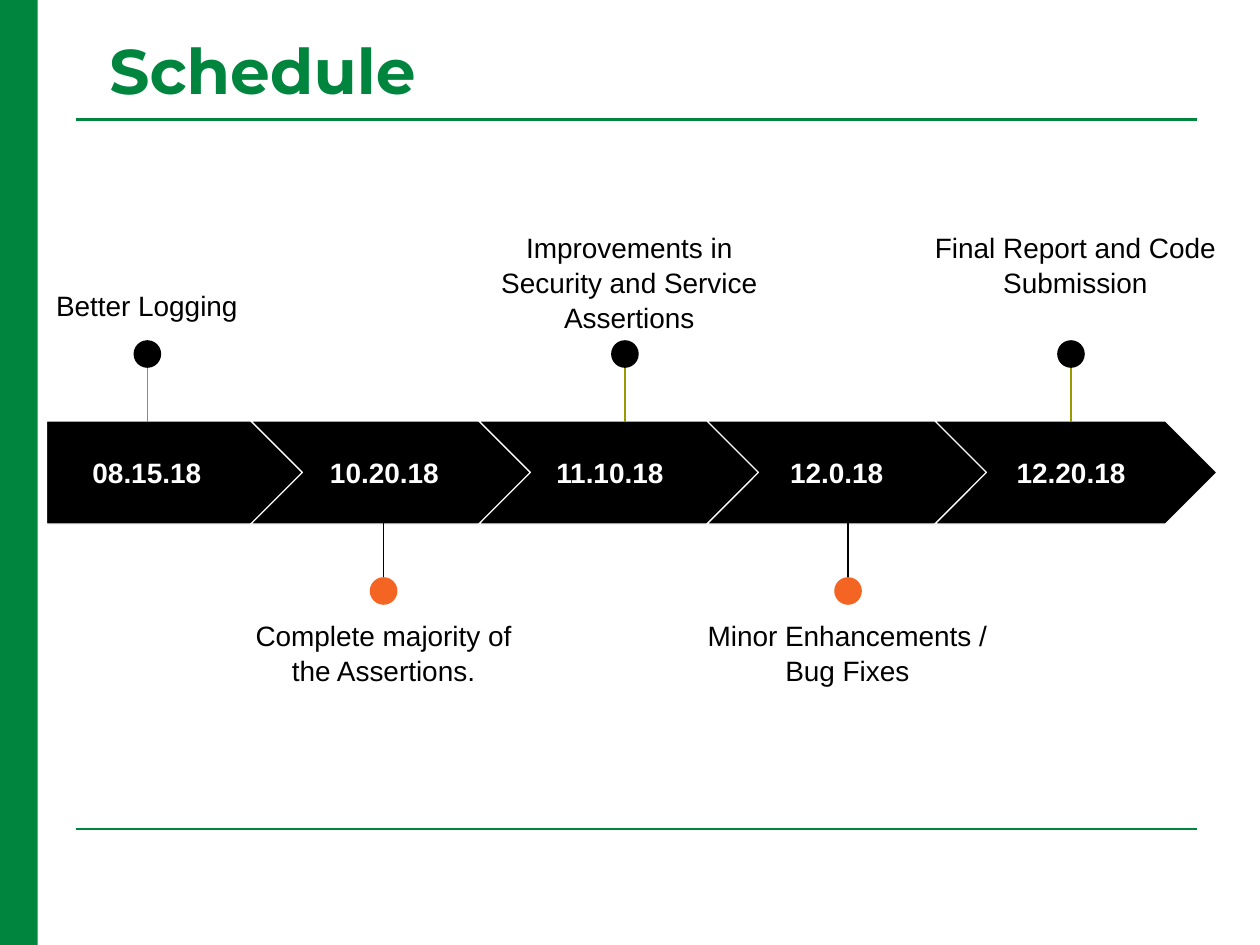
from dataclasses import dataclass

from lxml import etree
from pptx import Presentation
from pptx.dml.color import RGBColor
from pptx.enum.shapes import MSO_CONNECTOR, MSO_SHAPE
from pptx.enum.text import MSO_ANCHOR, PP_ALIGN
from pptx.oxml.ns import qn
from pptx.util import Pt

STRAIGHT = MSO_CONNECTOR.STRAIGHT
RECTANGLE, OVAL = MSO_SHAPE.RECTANGLE, MSO_SHAPE.OVAL
PENTAGON, CHEVRON = MSO_SHAPE.PENTAGON, MSO_SHAPE.CHEVRON
LEFT, CENTER = PP_ALIGN.LEFT, PP_ALIGN.CENTER
TOP, MIDDLE = MSO_ANCHOR.TOP, MSO_ANCHOR.MIDDLE

GREEN, BLACK, WHITE = "00853E", "000000", "FFFFFF"
OLIVE, ORANGE = "999900", "F46524"
SLIDE_WIDTH, SLIDE_HEIGHT = 720, 540
INSET = 7.2
BAND_TOP, BAND_HEIGHT = 240.5, 59
FIRST_LEFT, FIRST_WIDTH = 26.6, 147.6
CHEVRON_LEFT, CHEVRON_WIDTH, CHEVRON_STEP = 143.3, 161.3, 130.3
DATE_TOP, DATE_HEIGHT, DATE_WIDTH = 251.3, 36.7, 104
LABEL_WIDTH, LABEL_HEIGHT = 176.4, 71.3
DOT_SIZE = 15.8


@dataclass(frozen=True)
class Side:
    """Vertical layout and colours of the markers on one side of the band."""

    stem_start: float
    stem_end: float
    dot_top: float
    stem_color: str
    dot_color: str


@dataclass(frozen=True)
class Milestone:
    """One date on the band with its marker and label."""

    date: str
    date_center: float
    label: str
    label_center: float
    label_top: float
    marker_center: float
    side: Side


ABOVE = Side(197.3, 241.2, 194.4, OLIVE, BLACK)
BELOW = Side(342.7, 298.8, 329.8, BLACK, ORANGE)

MILESTONES = [
    Milestone("08.15.18", 83.9, "Better Logging", 83.9, 157, 84.2, ABOVE),
    Milestone("10.20.18", 219.6, "Complete majority of the Assertions.", 219.2, 345.6, 219.2, BELOW),
    Milestone("11.10.18", 348.5, "Improvements in Security and Service Assertions", 359.6, 123.8, 357.1, ABOVE),
    Milestone("12.0.18", 478.1, "Minor Enhancements / Bug Fixes", 484.2, 345.6, 484.6, BELOW),
    Milestone("12.20.18", 612, "Final Report and Code Submission", 614.5, 123.8, 612, ABOVE),
]


def rgb(color: str) -> RGBColor:
    """Turn a hex string into a colour."""
    return RGBColor.from_string(color)


def add_line(slide, start: tuple, end: tuple, color: str, width: float) -> None:
    """Draw a straight line without a shadow."""
    points = [Pt(value) for value in (*start, *end)]
    connector = slide.shapes.add_connector(STRAIGHT, *points)
    connector.line.color.rgb = rgb(color)
    connector.line.width = Pt(width)
    properties = connector._element.find(qn("p:spPr"))
    etree.SubElement(properties, qn("a:effectLst"))


def add_filled_shape(slide, kind, left: float, top: float, width: float, height: float,
                     color: str, outline: str | None = None):
    """Draw a filled preset shape with an optional thin outline."""
    shape = slide.shapes.add_shape(kind, Pt(left), Pt(top), Pt(width), Pt(height))
    shape.shadow.inherit = False
    shape.fill.solid()
    shape.fill.fore_color.rgb = rgb(color)
    if outline:
        shape.line.color.rgb = rgb(outline)
        shape.line.width = Pt(0.75)
    else:
        shape.line.fill.background()
    return shape


def add_text(slide, text: str, left: float, top: float, width: float, height: float, *,
             font: str = "Arial", size: float = 16, color: str = BLACK, bold: bool = False,
             align=CENTER, anchor=TOP, line_spacing: float = 1, space_after: float = 0) -> None:
    """Add a wrapped text box holding one formatted paragraph."""
    box = slide.shapes.add_textbox(Pt(left), Pt(top), Pt(width), Pt(height))
    frame = box.text_frame
    frame.word_wrap = True
    frame.vertical_anchor = anchor
    frame.margin_left = frame.margin_right = Pt(INSET)
    frame.margin_top = frame.margin_bottom = Pt(INSET)
    paragraph = frame.paragraphs[0]
    paragraph.alignment = align
    paragraph.line_spacing = line_spacing
    paragraph.space_after = Pt(space_after)
    run = paragraph.add_run()
    run.text = text
    run.font.name = font
    run.font.size = Pt(size)
    run.font.bold = bold
    run.font.color.rgb = rgb(color)


def add_stage(slide, index: int) -> None:
    """Draw one arrow of the band, the first with a flat left end."""
    if index == 0:
        kind, left, width = PENTAGON, FIRST_LEFT, FIRST_WIDTH
    else:
        kind, width = CHEVRON, CHEVRON_WIDTH
        left = CHEVRON_LEFT + (index - 1) * CHEVRON_STEP
    stage = add_filled_shape(slide, kind, left, BAND_TOP, width, BAND_HEIGHT, BLACK, WHITE)
    stage.adjustments[0] = 0.5


def add_milestone(slide, milestone: Milestone) -> None:
    """Add the date, stem, dot and label of a milestone."""
    side, center = milestone.side, milestone.marker_center
    add_text(slide, milestone.date, milestone.date_center - DATE_WIDTH / 2, DATE_TOP,
             DATE_WIDTH, DATE_HEIGHT, color=WHITE, bold=True, anchor=MIDDLE)
    add_line(slide, (center, side.stem_start), (center, side.stem_end), side.stem_color, 0.75)
    add_filled_shape(slide, OVAL, center - DOT_SIZE / 2, side.dot_top,
                     DOT_SIZE, DOT_SIZE, side.dot_color)
    add_text(slide, milestone.label, milestone.label_center - LABEL_WIDTH / 2,
             milestone.label_top, LABEL_WIDTH, LABEL_HEIGHT, line_spacing=1.04, space_after=16)


def main() -> None:
    """Build the schedule slide and save it."""
    presentation = Presentation()
    presentation.slide_width = Pt(SLIDE_WIDTH)
    presentation.slide_height = Pt(SLIDE_HEIGHT)
    slide = presentation.slides.add_slide(presentation.slide_layouts[6])
    add_filled_shape(slide, RECTANGLE, 0, 0, 21.6, SLIDE_HEIGHT, GREEN)
    for rule_top in (68.4, 473.8):
        add_line(slide, (43.2, rule_top), (684, rule_top), GREEN, 1.5)
    add_text(slide, "Schedule", 55.4, 10.8, 497.5, 49.7, font="Montserrat", size=36,
             color=GREEN, bold=True, align=LEFT)
    for index in range(len(MILESTONES)):
        add_stage(slide, index)
    for milestone in MILESTONES:
        add_milestone(slide, milestone)
    presentation.save("out.pptx")


if __name__ == "__main__":
    main()
